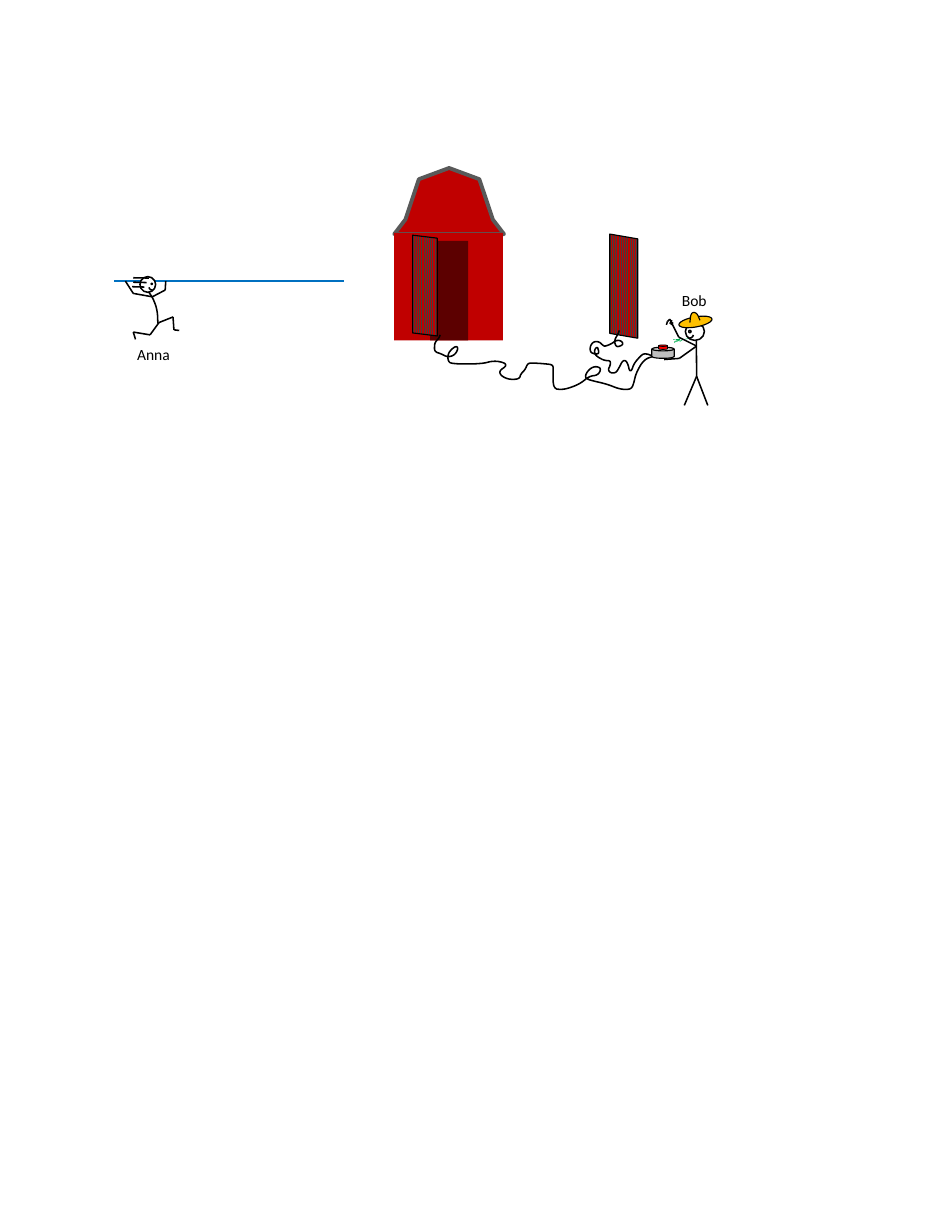
from itertools import pairwise

from lxml import etree
from pptx import Presentation
from pptx import util as u
from pptx.dml.color import RGBColor
from pptx.enum import dml, shapes, text
from pptx.oxml.ns import qn

COLUMNS, ROWS = 850, 1100
CELL = u.Inches(8.5) / COLUMNS
FINE = 100  # outline points are kept to a hundredth of a cell
BLACK, WHITE, RED, GOLD = "000000", "FFFFFF", "C00000", "FFC000"
THIN, NORMAL, BOLD, HEAVY = 0.25, 1, 1.5, 2.5
EDGE = 0.75
KIND = shapes.MSO_SHAPE


def color(value):
    return RGBColor.from_string(value)


def cells(numbers):
    return [round(CELL * number) for number in numbers]


def rounded(points, passes=2):
    """Cuts each corner at a quarter of its two sides; the ends stay."""
    for _ in range(passes):
        cut = [points[0]]
        for (x1, y1), (x2, y2) in pairwise(points):
            cut += [(x1 + (x2 - x1) * share, y1 + (y2 - y1) * share)
                    for share in (0.25, 0.75)]
        points = cut + [points[-1]]
    return points


class Sketch:
    """Draws on one page; every place is in columns and rows of the grid."""

    font, size = "Calibri", u.Pt(10)

    def __init__(self, page):
        self.page = page

    def paint(self, item, fill, ink, weight):
        item.shadow.inherit = False
        if fill:
            item.fill.solid()
            item.fill.fore_color.rgb = color(fill)
        else:
            item.fill.background()
        if ink:
            item.line.color.rgb = color(ink)
            item.line.width = u.Pt(weight)
        else:
            item.line.fill.background()

    def shape(self, kind, place, fill=None, ink=BLACK, weight=NORMAL, turn=0, mirrored=False):
        item = self.page.shapes.add_shape(kind, *cells(place))
        self.paint(item, fill, ink, weight)
        item.rotation = turn
        if mirrored:
            item._element.spPr.find(qn("a:xfrm")).set("flipH", "1")
        return item

    def door(self, place, slant):
        item = self.shape(KIND.PARALLELOGRAM, place, weight=EDGE, turn=90)
        item.adjustments[0] = slant
        item.fill.patterned()
        item.fill.pattern = dml.MSO_PATTERN.LIGHT_VERTICAL
        item.fill.fore_color.rgb = color("404040")
        item.fill.back_color.rgb = color(RED)

    def head(self, face, smile, eye, mirrored=False):
        self.shape(KIND.OVAL, face, WHITE, mirrored=mirrored)
        self.shape(KIND.ARC, smile, turn=180, mirrored=mirrored)
        self.shape(KIND.OVAL, eye, WHITE, mirrored=mirrored)

    def chain(self, *joints, ink=BLACK, weight=NORMAL):
        """Joins each joint to the next by a straight line."""
        for start, end in pairwise(joints):
            item = self.page.shapes.add_connector(
                shapes.MSO_CONNECTOR.STRAIGHT, *cells(start + end))
            item.line.color.rgb = color(ink)
            item.line.width = u.Pt(weight)
            etree.SubElement(item._element.spPr, qn("a:effectLst"))

    def outline(self, points, fill=None, ink=BLACK, weight=NORMAL, close=False):
        fine = [(x * FINE, y * FINE) for x, y in points]
        builder = self.page.shapes.build_freeform(*fine[0], scale=CELL / FINE)
        builder.add_line_segments(fine[1:], close=close)
        self.paint(builder.convert_to_shape(), fill, ink, weight)

    def curve(self, points, **style):
        self.outline(rounded(points), **style)

    def label(self, words, place, align):
        box = self.page.shapes.add_textbox(*cells(place))
        box.text_frame.word_wrap = True
        para = box.text_frame.paragraphs[0]
        para.text = words
        para.alignment = align
        para.line_spacing = 1.15
        para.space_after = u.Pt(10)
        span = para.runs[0]
        span.font.name, span.font.size = self.font, self.size
        span.font.color.rgb = color(BLACK)


def draw_barn(sketch):
    middle, eaves = 401, 209
    left_slope = [(352, eaves), (362, 196), (374, 160)]
    right_slope = [(2 * middle - x, y) for x, y in reversed(left_slope)]
    sketch.door((510.4, 243, 93, 25), slant=0.173)
    sketch.outline(left_slope + [(middle, 150)] + right_slope,
                   fill=RED, ink="595959", weight=HEAVY, close=True)
    sketch.shape(KIND.RECTANGLE, (352, 208, 97, 96), RED, ink=None)
    sketch.shape(KIND.RECTANGLE, (384, 215, 34, 89), "5C0000", ink=None)
    sketch.door((334.4, 244, 90, 22), slant=0.123)


def draw_anna(sketch):
    neck, hip = (136, 265), (142, 288)
    sketch.chain((102, 251), (307, 251), ink="0070C0", weight=BOLD)
    sketch.head(face=(125, 247, 14, 14), smile=(133, 254, 6, 5), eye=(135, 253, 1, 1))
    back_leg = [hip, (134, 299), (119, 296.5), (121, 303)]
    front_leg = [hip, (154.5, 283), (155.3, 294.5), (160, 295.1)]
    back_arm = [neck, (119, 262), (112, 251)]
    front_arm = [neck, (147.5, 259), (148, 251)]
    for limb in (back_leg, front_leg, back_arm, front_arm):
        sketch.chain(*limb)
    sketch.curve([(133, 261), (137, 267), (140.5, 277), (141, 289)])
    sketch.label("Anna", (100, 301, 74, 28), text.PP_ALIGN.CENTER)
    for row, (start, end) in zip(range(248, 257, 4), [(119, 133), (119, 131), (118, 129)]):
        sketch.chain((start, row), (end, row + 0.3))


def draw_barn_rope(sketch):
    drop = [(393, 299), (392, 302), (389, 305), (388, 308), (388, 314), (394, 316)]
    first_loop = [(400, 319), (406, 317), (409, 312), (408, 309), (404, 311),
                  (400, 316), (400, 322), (403, 325)]
    slack = [(430, 325), (441, 322), (451, 324), (452, 327), (446, 331), (447, 335),
             (452, 338), (458, 339), (464, 338), (465, 334), (469, 330), (471, 325)]
    step = [(474, 324), (489, 325), (494, 326), (494, 332), (494, 347), (502, 348)]
    second_loop = [(510, 346), (519, 342), (526, 336), (534, 335), (537, 329), (532, 327),
                   (527, 329), (523, 334), (523, 338)]
    rise = [(529, 340), (542, 343), (552, 347), (559, 348), (564, 347), (566, 342),
            (568, 333), (575, 321), (584, 318)]
    sketch.curve(drop + first_loop + slack + step + second_loop + rise)


def draw_door_rope(sketch):
    drop = [(553, 295), (552, 298), (549, 303), (549, 307)]
    first_loop = [(551, 310), (556, 308), (556, 306), (554, 304), (550, 304)]
    sag = [(546, 307), (541, 309), (539, 309), (535, 305), (530, 305)]
    second_loop = [(527, 309), (527, 314), (530, 316), (535, 316), (534, 311), (533, 310),
                   (531, 312), (531, 316)]
    waves = [(534, 319), (540, 322), (545, 322), (545, 326), (543, 330), (545, 333),
             (550, 333), (553, 328), (556, 322), (559, 322), (561, 326), (562, 331),
             (564, 331), (566, 325)]
    end = [(570, 320), (574, 316), (578, 316), (583, 318)]
    sketch.curve(drop + first_loop + sag + second_loop + waves + end)


def draw_button(sketch):
    for place, fill, weight in [((582, 310, 20, 10), "BFBFBF", EDGE),
                                ((588, 308, 8, 4), "FF0000", 0.5)]:
        sketch.shape(KIND.FLOWCHART_MAGNETIC_DISK, place, fill, weight=weight)


def draw_straw(sketch):
    stalk = [(602, 305), (620, 301)]
    ears = [[(602, 306), (605, 304), (601, 303)],
            [(605, 305), (607, 303), (604, 303)],
            [(607, 305), (610, 303), (606, 302)]]
    for blades in [stalk] + ears:
        sketch.chain(*blades, ink="00B050", weight=THIN)


def draw_bob(sketch):
    shoulder, hip, wrist = (622, 309), (622, 336), (598, 285)
    raised_arm = [shoulder, (606, 301), wrist]
    pressing_arm = [shoulder, (606.5, 320), (593, 321)]
    torso = [(621.8, 304), hip]
    legs = [(611, 362), hip, (632, 362)]
    thumb_and_palm = [(595, 290), (596, 287), wrist]
    fingers = [[(600, 286), (598, 289)], [(601, 288), (599, 290)]]
    for limb in [raised_arm, pressing_arm, torso, legs, thumb_and_palm] + fingers:
        sketch.chain(*limb)
    sketch.head(face=(612, 288, 17, 16), smile=(611, 296, 8, 6), eye=(615, 295, 2, 2),
                mirrored=True)
    sketch.label("Bob", (599, 252, 46, 26), text.PP_ALIGN.LEFT)
    sketch.shape(KIND.OVAL, (606, 283, 30, 9), GOLD, weight=EDGE, turn=349.8)
    crown = [(616, 288), (617, 279), (622, 279), (625, 286)]
    sketch.curve(crown, fill=GOLD, weight=EDGE)


def main():
    deck = Presentation()
    deck.slide_width, deck.slide_height = cells((COLUMNS, ROWS))
    sketch = Sketch(deck.slides.add_slide(deck.slide_layouts[6]))
    for draw in (draw_barn, draw_anna, draw_barn_rope, draw_door_rope,
                 draw_button, draw_straw, draw_bob):
        draw(sketch)
    deck.save("out.pptx")


if __name__ == "__main__":
    main()
